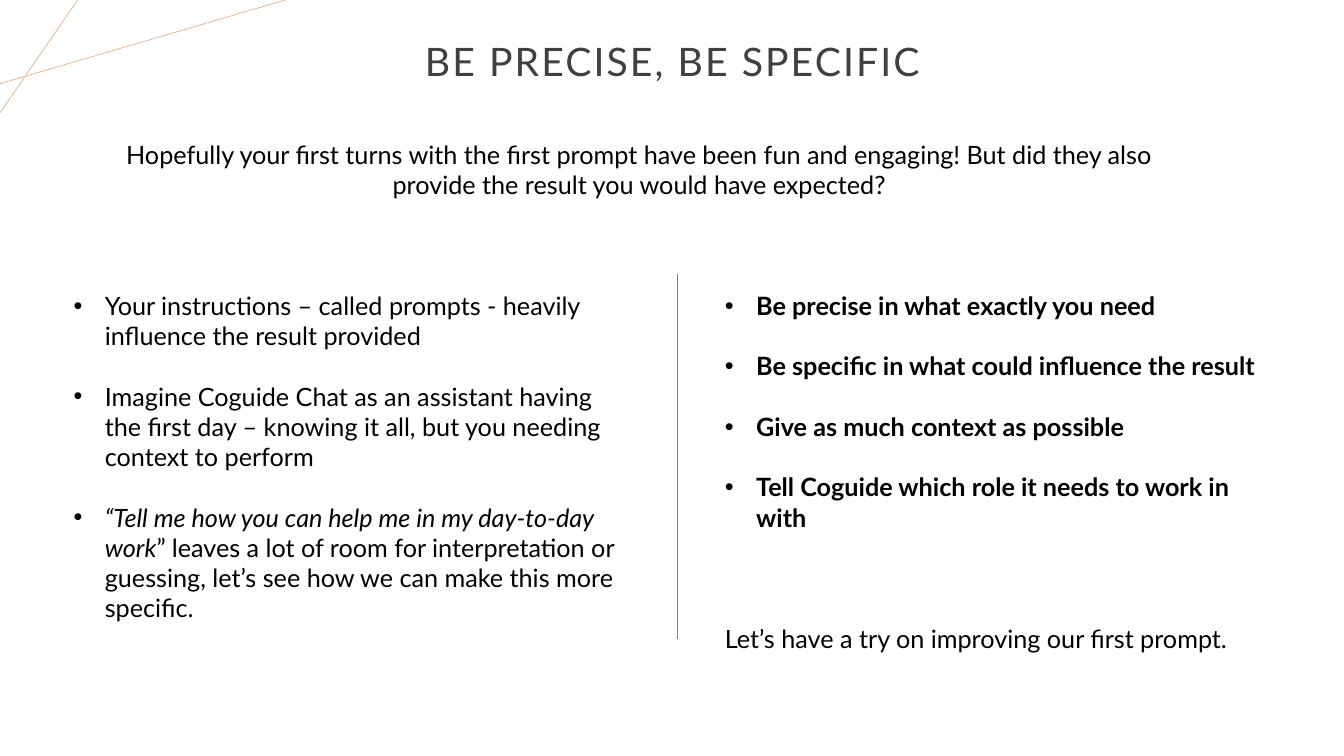
from dataclasses import dataclass

from lxml import etree
from pptx import Presentation
from pptx import util as u
from pptx.dml.color import RGBColor
from pptx.enum import shapes, text
from pptx.oxml.ns import qn

COLORS = {"title": "404040", "body": "000000", "accent": "E2B18D",
          "divider": "808080", "panel": "FFFFFF"}
FONT = "Lato"
BODY_SIZE = 18
TEXT_LINE = 21.6  # height of one body line in points

# Grid: 133.3 columns by 75 rows
SLIDE_WIDTH, SLIDE_HEIGHT = u.Inches(13.33), u.Inches(7.5)
COLUMN, ROW = SLIDE_WIDTH / 133.3, SLIDE_HEIGHT / 75


@dataclass
class Area:
    column: float
    row: float
    columns: float
    rows: float


@dataclass
class Stroke:
    start: tuple[float, float]
    end: tuple[float, float]
    color: str


@dataclass
class Span:
    words: str
    bold: bool = False
    italic: bool = False


@dataclass
class Item:
    spans: list[Span]
    bullet: bool = True
    lines_before: int = 1


STROKES = [
    Stroke((0, 8.3), (28.3, 0), "accent"),
    Stroke((7.7, 0), (0, 11.2), "accent"),
    Stroke((67.2, 27.2), (67.2, 63.4), "divider"),
]
TITLE_AREA = Area(9.2, -0.9, 115, 14.5)
INTRO_AREA = Area(10.4, 13.3, 106, 7.1)
LEFT_AREA = Area(6.3, 28.3, 57.2, 37.4)
RIGHT_AREA = Area(70.9, 28.3, 56, 37.4)

INTRO = ("Hopefully your first turns with the first prompt have been fun and engaging! "
         "But did they also provide the result you would have expected?")
LEFT_ITEMS = [
    Item([Span("Your instructions – called prompts - heavily influence the result provided")]),
    Item([Span("Imagine Coguide Chat as an assistant having the first day – knowing it all, "
               "but you needing context to perform")]),
    Item([Span("“Tell me how you can help me in my day-to-day work", italic=True),
          Span("” leaves a lot of room for interpretation or guessing, "
               "let’s see how we can make this more specific.")]),
]
RIGHT_ITEMS = [Item([Span(words, bold=True)]) for words in (
    "Be precise in what exactly you need",
    "Be specific in what could influence the result",
    "Give as much context as possible",
    "Tell Coguide which role it needs to work in with",
)] + [Item([Span("Let’s have a try on improving our first prompt.")],
           bullet=False, lines_before=3)]


def rgb(name: str) -> RGBColor:
    return RGBColor.from_string(COLORS[name])


def place(box, area: Area) -> None:
    box.left, box.top = round(area.column * COLUMN), round(area.row * ROW)
    box.width, box.height = round(area.columns * COLUMN), round(area.rows * ROW)


def draw_stroke(page, stroke: Stroke) -> None:
    (x1, y1), (x2, y2) = stroke.start, stroke.end
    line = page.shapes.add_connector(
        shapes.MSO_CONNECTOR.STRAIGHT, round(x1 * COLUMN), round(y1 * ROW),
        round(x2 * COLUMN), round(y2 * ROW))
    line.line.color.rgb = rgb(stroke.color)
    line.line.width = u.Pt(0.5)
    etree.SubElement(line._element.spPr, qn("a:effectLst"))


def add_span(para, span: Span, size: float, color: str):
    run = para.add_run()
    run.text = span.words
    run.font.name, run.font.size = FONT, u.Pt(size)
    run.font.bold, run.font.italic = span.bold, span.italic
    run.font.color.rgb = rgb(color)
    return run


def set_bullet(para, bullet: bool) -> None:
    properties = para._p.get_or_add_pPr()
    indent = u.Inches(0.31) if bullet else 0
    properties.set("marL", str(indent))
    properties.set("indent", str(-indent))
    if bullet:
        font = etree.SubElement(properties, qn("a:buFont"))
        font.set("typeface", "Arial")
        etree.SubElement(properties, qn("a:buChar")).set("char", "•")
    else:
        etree.SubElement(properties, qn("a:buNone"))


def prepare_frame(box, anchor):
    frame = box.text_frame
    frame.word_wrap = True
    frame.auto_size = text.MSO_AUTO_SIZE.NONE
    frame.vertical_anchor = anchor
    return frame


def fill_panel(box, area: Area, items: list[Item], align) -> None:
    place(box, area)
    box.fill.solid()
    box.fill.fore_color.rgb = rgb("panel")
    frame = prepare_frame(box, text.MSO_ANCHOR.TOP)
    for index, item in enumerate(items):
        para = frame.add_paragraph() if index else frame.paragraphs[0]
        set_bullet(para, item.bullet)
        para.alignment = align
        para.line_spacing = 1.0
        para.space_before = u.Pt(TEXT_LINE * item.lines_before if index else 0)
        para.space_after = u.Pt(0)
        for span in item.spans:
            add_span(para, span, BODY_SIZE, "body")


def fill_title(box) -> None:
    place(box, TITLE_AREA)
    para = prepare_frame(box, text.MSO_ANCHOR.MIDDLE).paragraphs[0]
    para.alignment = text.PP_ALIGN.CENTER
    para.line_spacing = 0.9
    run = add_span(para, Span("BE PRECISE, BE SPECIFIC"), 28, "title")
    run.font._element.set("spc", "150")


def main() -> None:
    deck = Presentation()
    deck.slide_width, deck.slide_height = SLIDE_WIDTH, SLIDE_HEIGHT
    page = deck.slides.add_slide(deck.slide_layouts.get_by_name("Two Content"))

    # Corner accents and column divider
    for stroke in STROKES:
        draw_stroke(page, stroke)

    # Title and introduction
    fill_title(page.shapes.title)
    intro = page.shapes.add_textbox(0, 0, 0, 0)
    fill_panel(intro, INTRO_AREA, [Item([Span(INTRO)], bullet=False)],
               text.PP_ALIGN.CENTER)

    # Two lists
    _, left, right = page.placeholders
    fill_panel(left, LEFT_AREA, LEFT_ITEMS, text.PP_ALIGN.LEFT)
    fill_panel(right, RIGHT_AREA, RIGHT_ITEMS, text.PP_ALIGN.LEFT)

    deck.save("out.pptx")


if __name__ == "__main__":
    main()
